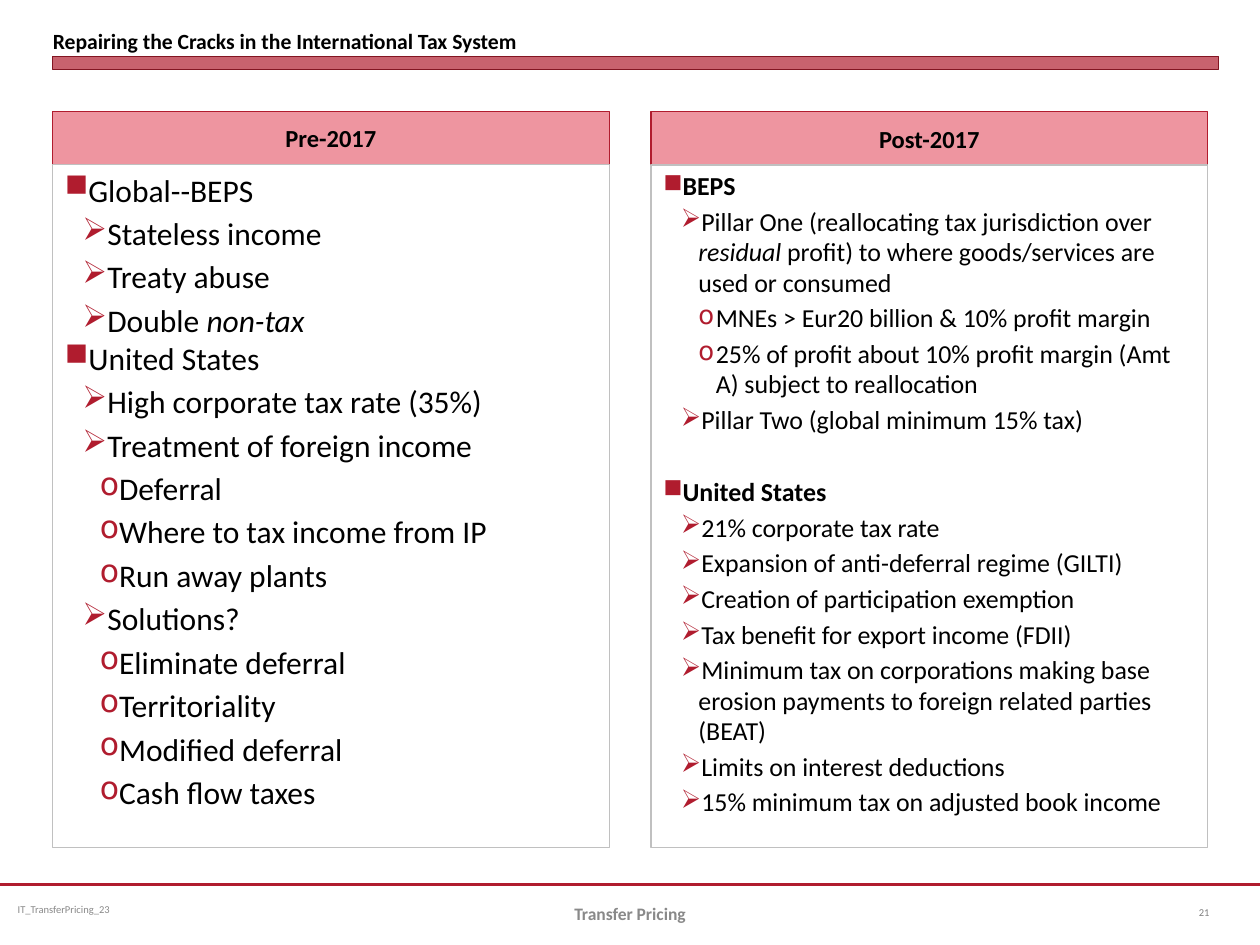
from dataclasses import dataclass

from lxml.etree import SubElement
from pptx import Presentation
from pptx.dml.color import RGBColor
from pptx.enum.shapes import MSO_CONNECTOR, MSO_SHAPE
from pptx.enum.text import MSO_ANCHOR, PP_ALIGN
from pptx.oxml.ns import qn
from pptx.util import Pt


@dataclass(frozen=True)
class Theme:
    font: str = "Calibri"
    red: str = "B01C2E"
    dark_red: str = "821522"
    pink: str = "EE95A0"
    white: str = "FFFFFF"
    border: str = "C0C0C0"
    black: str = "000000"
    footer: str = "898989"
    number: str = "808080"
    title_size: float = 12.4
    header_size: float = 14
    before_size: float = 18
    after_size: float = 14.8
    footer_size: float = 10
    small_size: float = 6


@dataclass(frozen=True)
class Box:
    left: float
    top: float
    width: float
    height: float

    def lengths(self):
        return Pt(self.left), Pt(self.top), Pt(self.width), Pt(self.height)


THEME = Theme()
BULLETS = "■➢o"
INDENT = 10
HEADER_HEIGHT = 30.4

BEFORE = [
    (0, "Global--BEPS", 0),
    (1, "Stateless income", 3.2),
    (1, "Treaty abuse", 3.2),
    (1, "Double *non-tax*", 3.2),
    (0, "United States", 0.1),
    (1, "High corporate tax rate (35%)", 3.2),
    (1, "Treatment of foreign income", 3.2),
    (2, "Deferral", 3.2),
    (2, "Where to tax income from IP", 3.2),
    (2, "Run away plants", 3.2),
    (1, "Solutions?", 3.2),
    (2, "Eliminate deferral", 3.2),
    (2, "Territoriality", 3.2),
    (2, "Modified deferral", 3.2),
    (2, "Cash flow taxes", 3.2),
]
AFTER = [
    (0, "BEPS", 0),
    (1, "Pillar One (reallocating tax jurisdiction over *residual *profit) "
        "to where goods/services are used or consumed", 3),
    (2, "MNEs > Eur20 billion & 10% profit margin", 3),
    (2, "25% of profit about 10% profit margin (Amt A) subject to reallocation", 3),
    (1, "Pillar Two (global minimum 15% tax)", 3),
    (0, "United States", 23.7),
    (1, "21% corporate tax rate", 3),
    (1, "Expansion of anti-deferral regime (GILTI)", 3),
    (1, "Creation of participation exemption", 3),
    (1, "Tax benefit for export income (FDII)", 3),
    (1, "Minimum tax on corporations making base erosion payments "
        "to foreign related parties (BEAT)", 3),
    (1, "Limits on interest deductions", 3),
    (1, "15% minimum tax on adjusted book income", 3),
]


def color(value):
    return RGBColor.from_string(value)


def set_font(paragraph, size, value, bold=False):
    font = paragraph.font
    font.name = THEME.font
    font.size = Pt(size)
    font.bold = bold
    font.color.rgb = color(value)


def add_panel(slide, box, fill, line, line_width=0.75):
    shape = slide.shapes.add_shape(MSO_SHAPE.RECTANGLE, *box.lengths())
    shape.shadow.inherit = False
    shape.fill.solid()
    shape.fill.fore_color.rgb = color(fill)
    shape.line.color.rgb = color(line)
    shape.line.width = Pt(line_width)
    return shape


def add_label(slide, box, text, size, value, bold=False,
              align=PP_ALIGN.LEFT, anchor=MSO_ANCHOR.MIDDLE, insets=(7.2, 3.6)):
    frame = slide.shapes.add_textbox(*box.lengths()).text_frame
    frame.word_wrap = True
    frame.vertical_anchor = anchor
    frame.margin_left = frame.margin_right = Pt(insets[0])
    frame.margin_top = frame.margin_bottom = Pt(insets[1])
    paragraph = frame.paragraphs[0]
    paragraph.text = text
    paragraph.alignment = align
    set_font(paragraph, size, value, bold)


def add_bullet(paragraph, level):
    paragraph.level = level
    properties = paragraph._p.get_or_add_pPr()
    properties.set("marL", str(Pt(INDENT * (level + 1))))
    properties.set("indent", str(-Pt(INDENT)))
    bullet_color = SubElement(properties, qn("a:buClr"))
    SubElement(bullet_color, qn("a:srgbClr"), val=THEME.red)
    SubElement(properties, qn("a:buChar"), char=BULLETS[level])


def add_title(slide, box):
    add_label(slide, Box(box.left, box.top, box.width, 31),
              "Repairing the Cracks in the International Tax System",
              THEME.title_size, THEME.black, bold=True,
              anchor=MSO_ANCHOR.BOTTOM, insets=(0, 0))
    bar = add_panel(slide, Box(box.left, box.top + 32.4, box.width, 7.2),
                    THEME.red, THEME.dark_red, 0)
    fill_color = bar._element.spPr.find(qn("a:solidFill")).find(qn("a:srgbClr"))
    SubElement(fill_color, qn("a:alpha"), val="69000")


def add_column(slide, box, heading, items, size, heading_bold, line_spacing):
    header = add_panel(slide, Box(box.left, box.top, box.width, HEADER_HEIGHT),
                       THEME.pink, THEME.red)
    header.text_frame.vertical_anchor = MSO_ANCHOR.MIDDLE
    paragraph = header.text_frame.paragraphs[0]
    paragraph.text = heading
    paragraph.alignment = PP_ALIGN.CENTER
    set_font(paragraph, THEME.header_size, THEME.black, bold=True)

    body = add_panel(slide, Box(box.left, box.top + HEADER_HEIGHT, box.width,
                                box.height - HEADER_HEIGHT),
                     THEME.white, THEME.border)
    frame = body.text_frame
    frame.word_wrap = True
    frame.vertical_anchor = MSO_ANCHOR.TOP
    for index, (level, text, space) in enumerate(items):
        paragraph = frame.add_paragraph() if index else frame.paragraphs[0]
        paragraph.alignment = PP_ALIGN.LEFT
        paragraph.line_spacing = line_spacing
        if index:
            paragraph.space_before = Pt(space)
        add_bullet(paragraph, level)
        set_font(paragraph, size, THEME.black, heading_bold and level == 0)
        for part, words in enumerate(text.split("*")):
            if words:
                run = paragraph.add_run()
                run.text = words
                if part % 2:
                    run.font.italic = True


def add_footer(slide, box):
    line = slide.shapes.add_connector(
        MSO_CONNECTOR.STRAIGHT, Pt(box.left), Pt(box.top),
        Pt(box.left + box.width), Pt(box.top))
    line.line.color.rgb = color(THEME.red)
    line.line.width = Pt(1.25)
    SubElement(line._element.spPr, qn("a:effectLst"))
    add_label(slide, Box(box.left + 5.8, box.top, 186, 28.8),
              "IT_TransferPricing_23", THEME.small_size, THEME.footer,
              insets=(4.3, 2.2))
    add_label(slide, Box(box.left + 246, box.top + 2, 228, 28.8),
              "Transfer Pricing", THEME.footer_size, THEME.footer,
              bold=True, align=PP_ALIGN.CENTER)
    add_label(slide, Box(box.left + 678, box.top + 1.4, 36, 28.8),
              "21", THEME.small_size, THEME.number)


def main():
    presentation = Presentation()
    presentation.slide_width = Pt(720)
    presentation.slide_height = Pt(540)
    slide = presentation.slides.add_slide(presentation.slide_layouts[6])
    add_title(slide, Box(30.2, 0, 666, 39.6))
    add_column(slide, Box(30, 63.6, 318.2, 420.8), "Pre-2017", BEFORE,
               THEME.before_size, False, 1)
    add_column(slide, Box(372, 63.9, 318.2, 420.6), "Post-2017", AFTER,
               THEME.after_size, True, 0.98)
    add_footer(slide, Box(0, 505.4, 720, 34.6))
    presentation.save("out.pptx")


if __name__ == "__main__":
    main()
